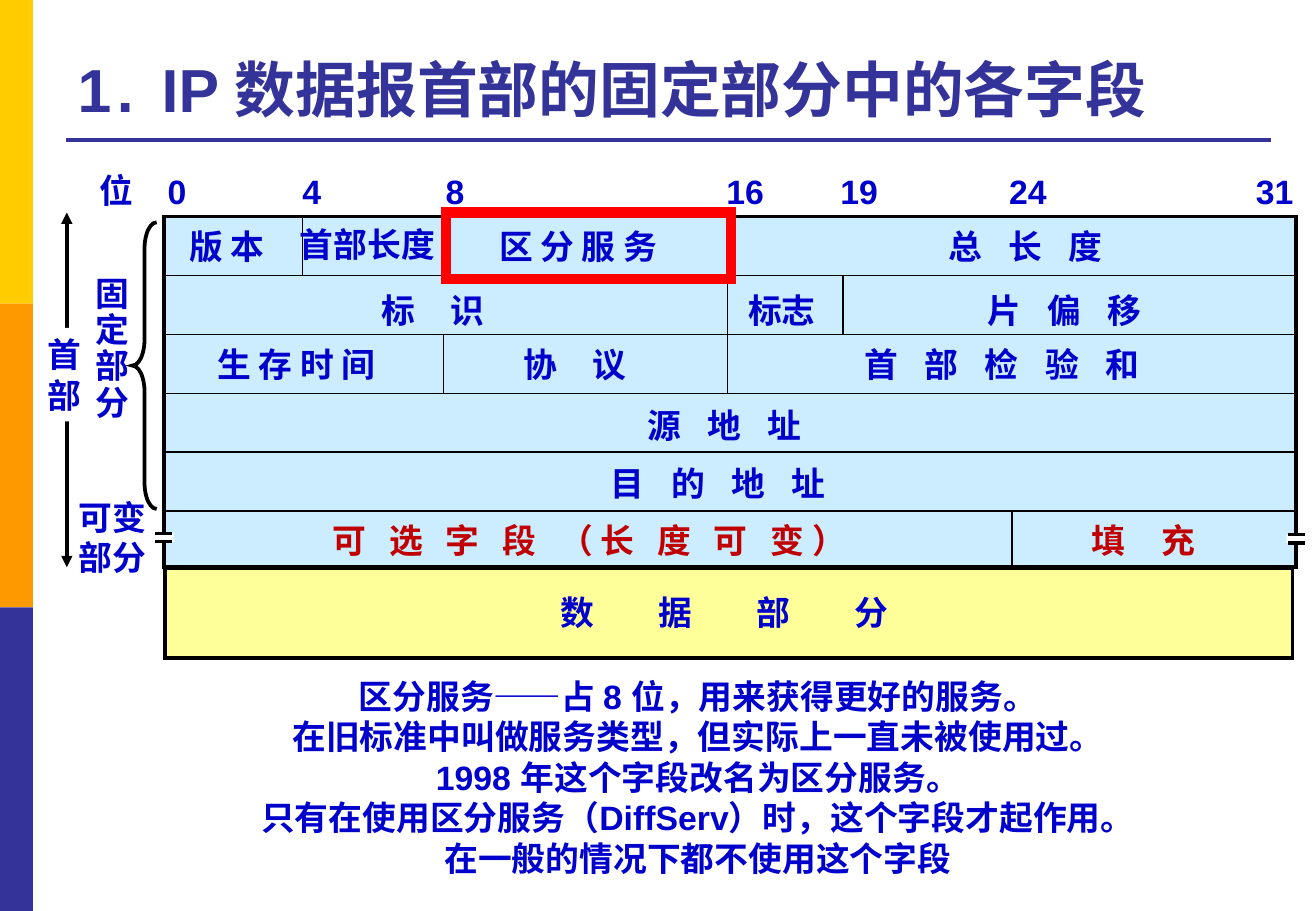
from lxml import etree
from pptx import Presentation
from pptx.dml.color import RGBColor
from pptx.enum.shapes import MSO_CONNECTOR, MSO_SHAPE
from pptx.enum.text import MSO_ANCHOR, PP_ALIGN
from pptx.oxml.ns import qn
from pptx.util import Pt

LINE = MSO_CONNECTOR.STRAIGHT
RECT, BRACE = MSO_SHAPE.RECTANGLE, MSO_SHAPE.LEFT_BRACE
LEFT, CENTER = PP_ALIGN.LEFT, PP_ALIGN.CENTER
TOP, BOTTOM = MSO_ANCHOR.TOP, MSO_ANCHOR.BOTTOM

BLUE, RED, NAVY = "0000CC", "C00000", "333399"
BLACK, WHITE = "000000", "FFFFFF"
TITLE = [("1. ", 3.3), ("IP 数据报首部的固定部分中的各字段", 0)]
SIDE_BANDS = ["FFCC00", "FF9900", NAVY]
BIT_LABELS = [("0", 92.2), ("4", 172.1), ("8", 257), ("16", 423.4),
              ("19", 491), ("24", 591.1), ("31", 737.3)]
BIT_X = {4: 179.3, 8: 262.8, 16: 431.3, 19: 499.7, 24: 599.8}
DIVIDERS = [(4, 0, 1), (8, 0, 1), (8, 2, 3), (16, 0, 3), (19, 1, 2), (24, 5, 6)]
ROW_TEXT_Y = [130.3, 168.5, 200.2, 236.2, 270.7, 304.6]
FIELDS = [
    ("版 本", 0, 105.1, 60.5, 0, BLUE),
    ("区 分 服 务", 0, 288.7, 112.3, 0, BLUE),
    ("总 长 度", 0, 555.1, 108.7, 5.56, BLUE),
    ("标 识", 1, 218.9, 77, 8.33, BLUE),
    ("标志", 1, 436.3, 54.7, 0, BLUE),
    ("片 偏 移", 1, 578.2, 108.7, 5.56, BLUE),
    ("生 存 时 间", 2, 121.7, 112.3, 0, BLUE),
    ("协 议", 2, 303.1, 77, 8.33, BLUE),
    ("首 部 检 验 和", 2, 505.4, 182.9, 5.56, BLUE),
    ("源 地 址", 3, 376.6, 108.7, 5.56, BLUE),
    ("目 的 地 址", 4, 355, 145.4, 5.56, BLUE),
    ("可 选 字 段 （长 度 可 变）", 5, 190.1, 328.3, 4.5, RED),
    ("填 充", 5, 640.1, 77, 8.33, RED),
]
SIDE_LABELS = [
    (["位"], 51.8, 97.2, 34.6, 31, 1),
    (["固", "定", "部", "分"], 49.7, 160.6, 34.6, 94.3, 0.9),
    (["可变", "部分"], 39.6, 290.9, 54.7, 55.4, 1),
]
NOTES = ["区分服务——占 8 位，用来获得更好的服务。",
         "在旧标准中叫做服务类型，但实际上一直未被使用过。",
         "1998 年这个字段改名为区分服务。",
         "只有在使用区分服务（DiffServ）时，这个字段才起作用。",
         "在一般的情况下都不使用这个字段"]
ROW_Y, ROW_H = 128.5, 34.9
BREAKS = [(91.4, 316.1), (762.5, 316.8)]

prs = Presentation()
prs.slide_width, prs.slide_height = Pt(780), Pt(540)
s = prs.slides.add_slide(prs.slide_layouts[6])


def rgb(value):
    return RGBColor.from_string(value)


def shape(kind, x, y, w, h, fill=None, line=None, width=1):
    sp = s.shapes.add_shape(kind, Pt(x), Pt(y), Pt(w), Pt(h))
    sp.shadow.inherit = False
    if fill:
        sp.fill.solid()
        sp.fill.fore_color.rgb = rgb(fill)
    else:
        sp.fill.background()
    if line:
        sp.line.color.rgb = rgb(line)
        sp.line.width = Pt(width)
        ln = sp._element.spPr.find(qn("a:ln"))
        etree.SubElement(ln, qn("a:miter"), lim="800000")
    else:
        sp.line.fill.background()
    return sp


def connect(x1, y1, x2, y2, width=1, color=BLACK, arrows=False):
    c = s.shapes.add_connector(LINE, Pt(x1), Pt(y1), Pt(x2), Pt(y2))
    c.line.color.rgb = rgb(color)
    c.line.width = Pt(width)
    sp_pr = c._element.spPr
    if arrows:
        for end in ("a:headEnd", "a:tailEnd"):
            etree.SubElement(sp_pr.find(qn("a:ln")), qn(end), type="triangle")
    etree.SubElement(sp_pr, qn("a:effectLst"))


def text(lines, x, y, w, h, size=20, color=BLUE, align=LEFT, anchor=TOP,
         wrap=False, spacing=1, gap=0):
    tb = s.shapes.add_textbox(Pt(x), Pt(y), Pt(w + gap), Pt(h))
    tf = tb.text_frame
    tf.word_wrap = wrap
    tf.vertical_anchor = anchor
    for i, line in enumerate(lines):
        p = tf.add_paragraph() if i else tf.paragraphs[0]
        p.alignment = align
        p.line_spacing = spacing
        for content, spread in [(line, gap)] if isinstance(line, str) else line:
            r = p.add_run()
            r.text = content
            f = r.font
            f.name, f.size, f.bold = "Arial", Pt(size), True
            f.color.rgb = rgb(color)
            if spread:
                r._r.get_or_add_rPr().set("spc", str(round(spread * 100)))


for i, color in enumerate(SIDE_BANDS):
    shape(RECT, 0, 180 * i, 19.6, 180, color)
connect(38.9, 82.8, 753.1, 82.8, 2.25, NAVY)
text([TITLE], 38.9, 15.1, 713.5, 62.6, size=36, color=NAVY, anchor=BOTTOM, wrap=True)

shape(RECT, 97.2, 128.2, 671, 208, "CCECFF", BLACK, 2)
shape(RECT, 97.9, 337, 668.2, 53.3, "FFFF99", BLACK, 2.25)
for row in range(1, 6):
    y = ROW_Y + row * ROW_H
    connect(96.5, y, 769, y)
for bit, first, last in DIVIDERS:
    connect(BIT_X[bit], ROW_Y + first * ROW_H, BIT_X[bit], ROW_Y + last * ROW_H)

for label, x in BIT_LABELS:
    text([label], x, 97.9, 14.6 + 11.1 * len(label), 31)
for label, row, x, w, gap, color in FIELDS:
    text([label], x, ROW_TEXT_Y[row], w, 31, color=color, gap=gap)
text(["首部长度"], 170.6, 128.9, 95, 31)
text(["数 据 部 分"], 325.4, 347, 248.4, 31, gap=16.67)
for lines, x, y, w, h, spacing in SIDE_LABELS:
    text(lines, x, y, w, h, spacing=spacing)

for x, y in BREAKS:
    shape(RECT, x, y, 11.5, 5, WHITE)
    for dy in (0, 5):
        connect(x + 0.7, y + dy, x + 10.8, y + dy, 2)

connect(39.6, 126, 39.6, 336.2, 2.25, arrows=True)
shape(RECT, 20.9, 194.4, 34.6, 55.4, WHITE)
text(["首", "部"], 20.9, 194.4, 34.6, 55.4)
brace = shape(BRACE, 78.5, 131.8, 14.4, 169.9, line=BLACK, width=2.25)
brace.adjustments[0] = 1.08

text(NOTES, 135.4, 396.7, 556.6, 128.2, align=CENTER, wrap=True)
shape(RECT, 264.2, 126, 169.2, 39.6, line="FF0000", width=6)

prs.save("out.pptx")
